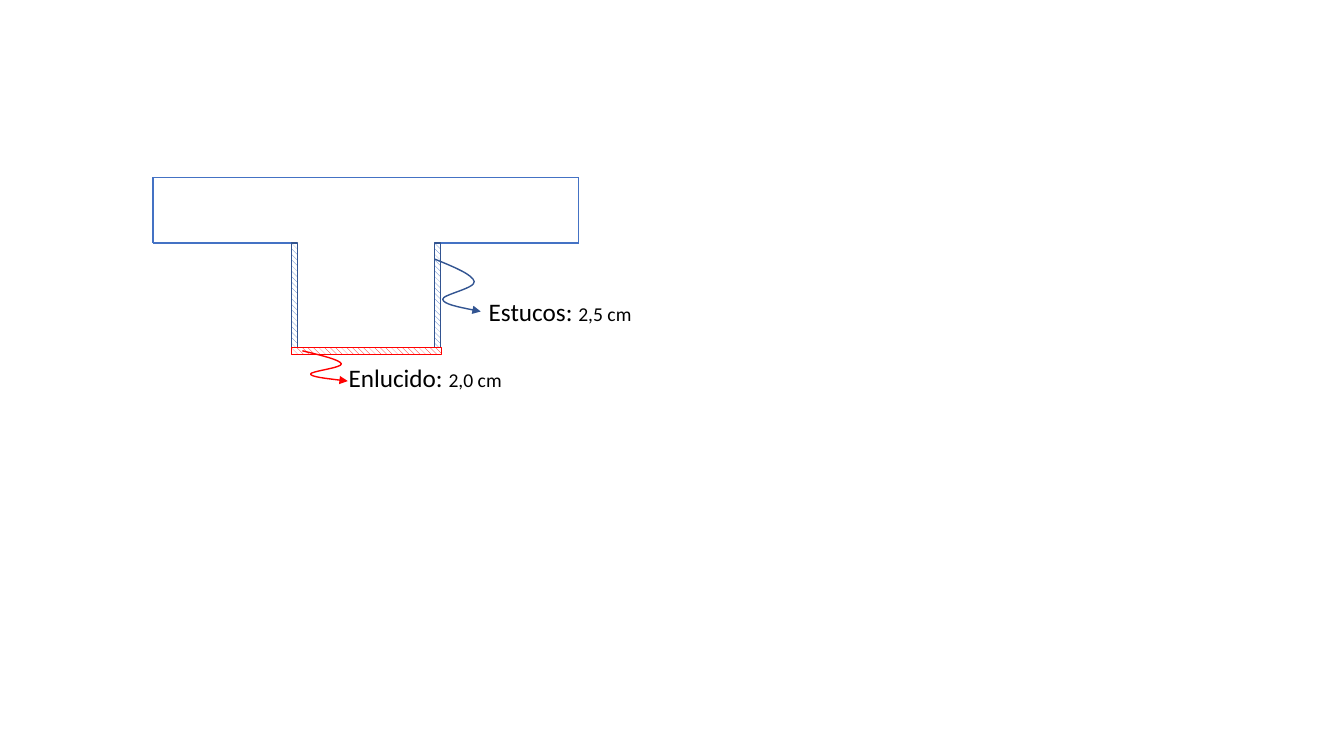
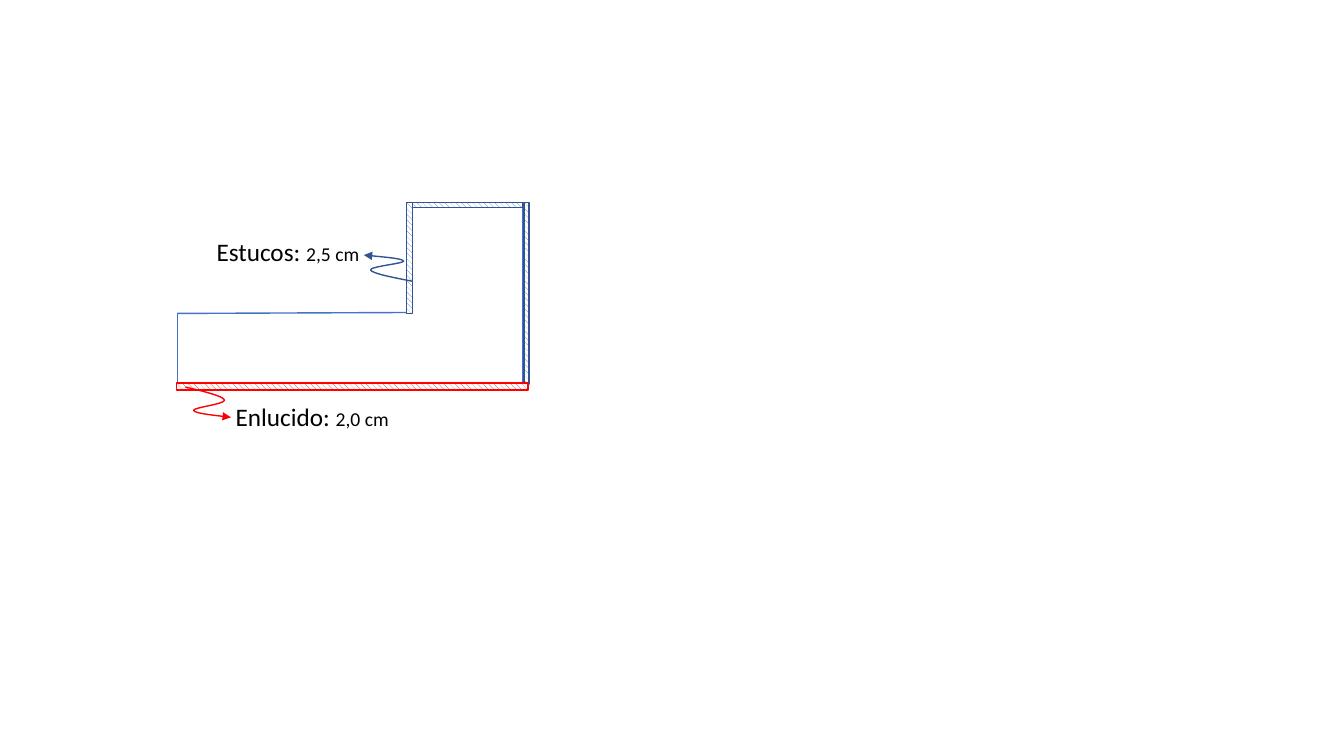
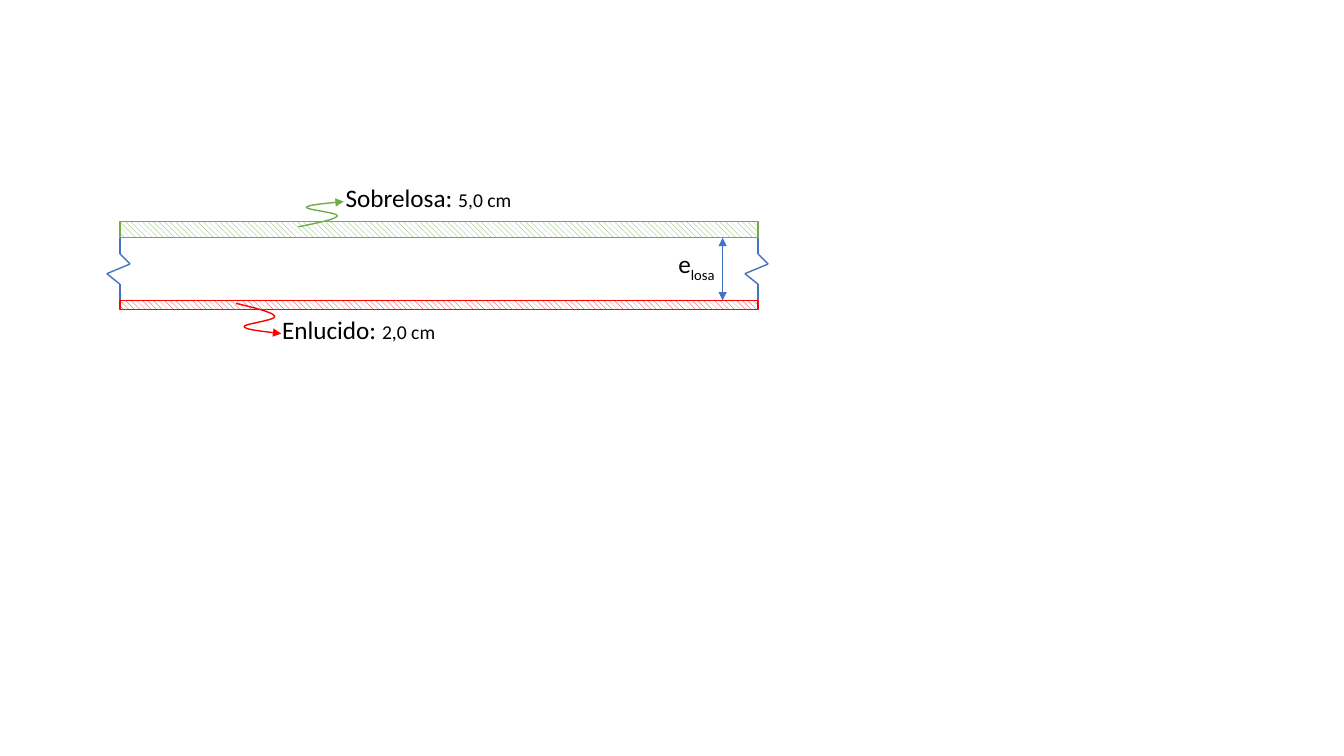
from dataclasses import dataclass
from itertools import pairwise

from lxml.etree import SubElement
from pptx import Presentation
from pptx.dml.color import RGBColor
from pptx.enum.dml import MSO_PATTERN
from pptx.enum.shapes import MSO_CONNECTOR, MSO_SHAPE
from pptx.enum.text import MSO_AUTO_SIZE
from pptx.oxml.ns import qn
from pptx.util import Pt

BLUE = RGBColor(0x44, 0x72, 0xC4)
NAVY = RGBColor(0x32, 0x54, 0x91)
RED = RGBColor(0xFF, 0x00, 0x00)
GREEN = RGBColor(0x70, 0xAD, 0x47)
WHITE = RGBColor(0xFF, 0xFF, 0xFF)
BLACK = RGBColor(0x00, 0x00, 0x00)
FONT = "Calibri"
LABEL_HEIGHT = 28.8

Point = tuple[float, float]

SQUIGGLE: list[Point] = [
    (0.42, 0.15), (0.83, 0.3), (0.86, 0.43),
    (0.89, 0.56), (0.16, 0.68), (0.18, 0.77),
    (0.2, 0.86), (0.6, 0.93), (1, 1),
]


@dataclass(frozen=True)
class Material:
    name: str
    thickness: str
    hatch: RGBColor
    edge: RGBColor
    label_width: float


@dataclass(frozen=True)
class Coat:
    material: Material
    left: float
    top: float
    width: float
    height: float


@dataclass(frozen=True)
class Callout:
    material: Material
    start: Point
    reach: Point
    label: Point


@dataclass(frozen=True)
class Section:
    outline: list[Point]
    coats: list[Coat]
    callouts: list[Callout]


STUCCO = Material("Estucos: ", "2,5 cm", BLUE, NAVY, 117.4)
PLASTER = Material("Enlucido: ", "2,0 cm", RED, RED, 125.3)
TOPPING = Material("Sobrelosa: ", "5,0 cm", GREEN, GREEN, 138.2)
PLASTER_REACH = (32.4, 21.6)

T_BEAM = Section(
    [(109.4, 126.7), (413.3, 126.7), (413.3, 173.5), (311, 173.5), (311, 248.4),
     (212.4, 248.4), (212.4, 173.5), (109.4, 173.5), (109.4, 126.7)],
    [Coat(STUCCO, 208.1, 173.5, 4.3, 78.5),
     Coat(STUCCO, 310.3, 173.5, 4.3, 78.5),
     Coat(PLASTER, 208.1, 248.4, 107.3, 5)],
    [Callout(STUCCO, (310.3, 185), (33.1, 37.5), (342, 208.1)),
     Callout(PLASTER, (216, 250.6), PLASTER_REACH, (241.9, 255.6))],
)
EDGE_BEAM = Section(
    [(126.7, 223.9), (293.8, 223.2), (293.8, 147.6), (373.7, 147.6),
     (373.7, 274.3), (126.7, 274.3), (126.7, 223.9)],
    [Coat(STUCCO, 374.4, 144.7, 3.6, 129.6),
     Coat(STUCCO, 293.8, 144.7, 79.9, 3.6),
     Coat(STUCCO, 290.2, 144.7, 4.3, 79.2),
     Coat(PLASTER, 126, 273.6, 251.3, 5)],
    [Callout(STUCCO, (294.5, 200.9), (-34.6, -18.7), (147.6, 165.6)),
     Callout(PLASTER, (132.5, 276.5), PLASTER_REACH, (161.3, 283))],
)
SLAB_LEFT, SLAB_WIDTH = 85.7, 455.8
SLAB_TOP, SLAB_BOTTOM = 169.9, 214.6
SLAB = Section(
    [],
    [Coat(TOPPING, SLAB_LEFT, 158.4, SLAB_WIDTH, 11.5),
     Coat(PLASTER, SLAB_LEFT, SLAB_BOTTOM, SLAB_WIDTH, 6.5)],
    [Callout(PLASTER, (168.5, 216.7), PLASTER_REACH, (194.4, 221)),
     Callout(TOPPING, (213.1, 162), (32.4, -18), (239.8, 126.7))],
)
BREAK_MARK: list[Point] = [
    (0, SLAB_TOP), (0, 181.4), (7.2, 188.6), (-9.4, 195.5), (0, 203), (0, SLAB_BOTTOM),
]


def add_arrowheads(drawn, *ends: str) -> None:
    outline = drawn._element.spPr.find(qn("a:ln"))
    for end in ends:
        SubElement(outline, qn(f"a:{end}"), type="triangle")


def draw_line(shapes, start: Point, end: Point, weight: float = 1, ends: tuple = ()) -> None:
    line = shapes.add_connector(
        MSO_CONNECTOR.STRAIGHT, *(Pt(value) for value in (*start, *end)))
    line.line.color.rgb = BLUE
    line.line.width = Pt(weight)
    add_arrowheads(line, *ends)
    SubElement(line._element.spPr, qn("a:effectLst"))


def draw_outline(shapes, corners: list[Point]) -> None:
    for start, end in pairwise(corners):
        draw_line(shapes, start, end)


def draw_coat(slide, coat: Coat) -> None:
    layer = slide.shapes.add_shape(
        MSO_SHAPE.RECTANGLE, Pt(coat.left), Pt(coat.top), Pt(coat.width), Pt(coat.height))
    layer.shadow.inherit = False
    layer.fill.patterned()
    layer.fill.pattern = MSO_PATTERN.WIDE_DOWNWARD_DIAGONAL
    layer.fill.fore_color.rgb = coat.material.hatch
    layer.fill.back_color.rgb = WHITE
    layer.line.color.rgb = coat.material.edge
    layer.line.width = Pt(1)


def draw_leader(slide, callout: Callout) -> None:
    (x, y), (dx, dy) = callout.start, callout.reach
    builder = slide.shapes.build_freeform(Pt(x), Pt(y))
    builder.add_line_segments(
        [(Pt(x + u * dx), Pt(y + v * dy)) for u, v in SQUIGGLE], close=False)
    leader = builder.convert_to_shape()
    leader.shadow.inherit = False
    leader.fill.background()
    leader.line.color.rgb = callout.material.edge
    leader.line.width = Pt(1)
    add_arrowheads(leader, "tailEnd")
    segments = list(leader._element.iter(qn("a:lnTo")))
    track = segments[0].getparent()
    for first in range(0, len(segments), 3):
        curve = SubElement(track, qn("a:cubicBezTo"))
        for segment in segments[first:first + 3]:
            curve.append(segment[0])
            track.remove(segment)


def add_label(slide, corner: Point, width: float, wrap: bool,
              runs: list[tuple[str, float]]) -> list:
    label = slide.shapes.add_textbox(
        Pt(corner[0]), Pt(corner[1]), Pt(width), Pt(LABEL_HEIGHT))
    frame = label.text_frame
    frame.word_wrap = wrap
    frame.auto_size = MSO_AUTO_SIZE.SHAPE_TO_FIT_TEXT
    added = []
    for text, size in runs:
        run = frame.paragraphs[0].add_run()
        run.text = text
        run.font.name = FONT
        run.font.size = Pt(size)
        run.font.color.rgb = BLACK
        added.append(run)
    return added


def draw_section(deck, section: Section):
    slide = deck.slides.add_slide(deck.slide_layouts[6])
    if section.outline:
        draw_outline(slide.shapes.add_group_shape().shapes, section.outline)
    for coat in section.coats:
        draw_coat(slide, coat)
    for callout in section.callouts:
        draw_leader(slide, callout)
        material = callout.material
        add_label(slide, callout.label, material.label_width, False,
                  [(material.name, 18), (material.thickness, 14)])
    return slide


def draw_slab_details(slide) -> None:
    for edge in (SLAB_LEFT, SLAB_LEFT + SLAB_WIDTH):
        draw_outline(slide.shapes, [(edge + dx, y) for dx, y in BREAK_MARK])
    draw_line(slide.shapes, (516.2, SLAB_TOP), (516.2, SLAB_BOTTOM), 0.5,
              ("headEnd", "tailEnd"))
    _, subscript = add_label(slide, (477.4, 174.2), 59, True, [("e", 18), ("losa", 18)])
    subscript._r.get_or_add_rPr().set("baseline", "-25000")


def main() -> None:
    deck = Presentation()
    deck.slide_width, deck.slide_height = Pt(960), Pt(540)
    draw_section(deck, T_BEAM)
    draw_section(deck, EDGE_BEAM)
    draw_slab_details(draw_section(deck, SLAB))
    deck.save("out.pptx")


main()
